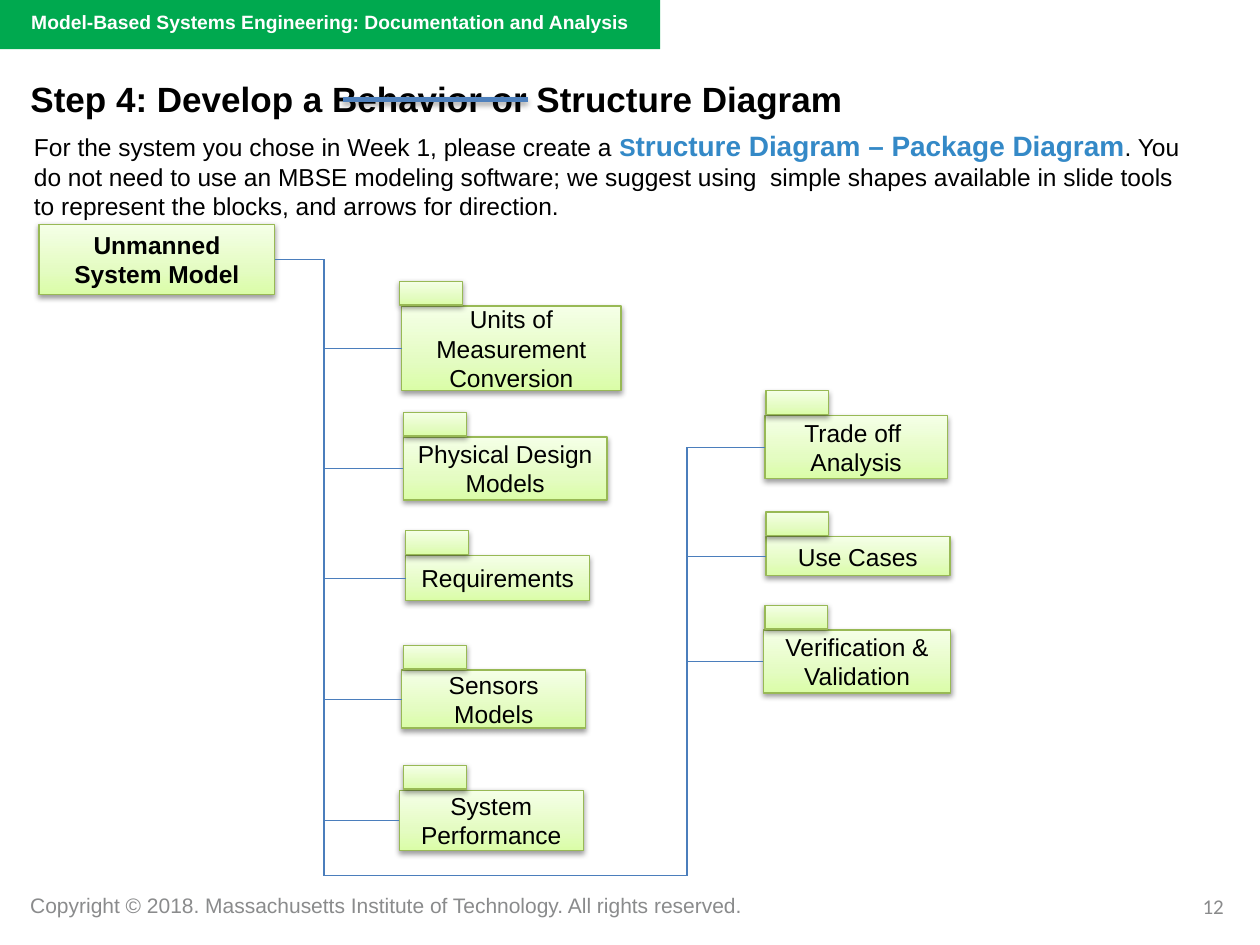
import copy

import lxml.etree
import pptx
import pptx.dml.color
import pptx.enum.shapes
import pptx.enum.text
import pptx.oxml.ns
import pptx.util

Cm, Pt = pptx.util.Cm, pptx.util.Pt
qn = pptx.oxml.ns.qn
ALIGN = pptx.enum.text.PP_ALIGN
ANCHOR = pptx.enum.text.MSO_ANCHOR

COLOURS = {
    "black": "000000", "white": "FFFFFF", "grey": "8A8B8C", "banner": "00A94F",
    "accent": "3489C7", "border": "98B955", "link": "4B7EBC", "strike": "4F81BD",
}
GREEN_STOPS = [(0, "DAFDA7"), (0.35, "E4FCC2"), (1, "F5FFE7")]

# Content: all lengths in centimetres
HEADER = "Model-Based Systems Engineering: Documentation and Analysis"
TITLE = "Step 4: Develop a Behavior or Structure Diagram"
INTRO = [  # text, size, colour, bold
    ("For the system you chose in Week 1, please create a ", 14, "black", False),
    ("S", 14, "accent", True),
    ("tructure Diagram – Package Diagram", 16, "accent", True),
    (". You do not need to use an MBSE modeling software; we suggest using  simple shapes "
     "available in slide tools to represent the blocks, and arrows for direction.",
     14, "black", False),
]
FOOTER = "Copyright © 2018. Massachusetts Institute of Technology. All rights reserved."
PAGE_NUMBER = "12"

ROOT = ("Unmanned System Model", 0.79, 4.52, 4.75, 1.42)
# Trunk x -> packages: label, left, top, width, height, tab left
PACKAGES = {
    6.53: [
        ("Units of Measurement Conversion", 8.10, 6.17, 4.42, 1.70, 8.05),
        ("Physical Design Models", 8.13, 8.81, 4.11, 1.27, 8.13),
        ("Requirements", 8.18, 11.20, 3.71, 0.91, 8.18),
        ("Sensors\nModels", 8.10, 13.51, 3.71, 1.17, 8.13),
        ("System Performance", 8.05, 15.93, 3.71, 1.22, 8.13),
    ],
    13.85: [
        ("Trade off  Analysis", 15.42, 8.38, 3.68, 1.27, 15.44),
        ("Use Cases", 15.44, 10.82, 3.71, 0.79, 15.44),
        ("Verification & Validation", 15.39, 12.70, 3.78, 1.27, 15.42),
    ],
}
TRUNK_BOTTOM = 17.65
TAB_WIDTH, TAB_HEIGHT, TAB_RISE = 1.27, 0.48, 0.5


def rgb(name):
    return pptx.dml.color.RGBColor.from_string(COLOURS.get(name, name))


def style(span, size, colour, bold=False, font="Arial"):
    span.font.name, span.font.size, span.font.bold = font, Pt(size), bold
    span.font.color.rgb = rgb(colour)


def style_all(frame, size, colour, bold=False, align=ALIGN.LEFT, font="Arial"):
    for para in frame.paragraphs:
        para.alignment = align
        for span in para.runs:
            style(span, size, colour, bold, font)


def place(shape, left, top, width, height):
    shape.left, shape.top = Cm(left), Cm(top)
    shape.width, shape.height = Cm(width), Cm(height)


def add_shadow(effects, distance, opacity):
    shadow = lxml.etree.SubElement(effects, qn("a:outerShdw"), blurRad="40000",
                                   dist=str(distance), dir="5400000", rotWithShape="0")
    colour = lxml.etree.SubElement(shadow, qn("a:srgbClr"), val=COLOURS["black"])
    lxml.etree.SubElement(colour, qn("a:alpha"), val=str(opacity * 1000))


def add_text(slide, text, area, size, colour, wrap=True, **options):
    frame = slide.shapes.add_textbox(*map(Cm, area)).text_frame
    frame.word_wrap = wrap
    frame.text = text
    style_all(frame, size, colour, **options)


def add_rectangle(slide, *area):
    box = slide.shapes.add_shape(pptx.enum.shapes.MSO_SHAPE.RECTANGLE, *map(Cm, area))
    box.shadow.inherit = False
    return box


def add_green_box(slide, area, label="", bold=False):
    box = add_rectangle(slide, *area)
    box.fill.gradient()
    box.fill.gradient_angle = 90
    stop_list = box._element.spPr.find(".//" + qn("a:gsLst"))
    stop_list.append(copy.deepcopy(stop_list[-1]))
    for stop, (position, colour) in zip(box.fill.gradient_stops, GREEN_STOPS):
        stop.position = position
        stop.color.rgb = rgb(colour)
    box.line.color.rgb = rgb("border")
    box.line.width = Pt(0.75)
    add_shadow(box._element.spPr.find(qn("a:effectLst")), 20000, 38)
    if label:
        box.text_frame.text = label
        box.text_frame.vertical_anchor = ANCHOR.MIDDLE
        style_all(box.text_frame, 14, "black", bold, ALIGN.CENTER)


def add_line(slide, start, end, colour="link", width=0.75):
    line = slide.shapes.add_connector(pptx.enum.shapes.MSO_CONNECTOR.STRAIGHT,
                                      *map(Cm, start + end))
    line.line.color.rgb = rgb(colour)
    line.line.width = Pt(width)
    return lxml.etree.SubElement(line._element.spPr, qn("a:effectLst"))


def add_heading(slide):
    title, body = slide.placeholders
    place(title, 0.36, 1.32, 23.83, 1.40)
    frame = title.text_frame
    frame.text = TITLE
    frame.vertical_anchor = ANCHOR.TOP
    frame.margin_top = frame.margin_bottom = Cm(0.25)
    style_all(frame, 20, "black", True)

    place(body, 0.43, 2.46, 23.75, 2.13)
    para = body.text_frame.paragraphs[0]
    properties = para._p.get_or_add_pPr()
    properties.set("marL", "0")
    properties.set("indent", "0")
    lxml.etree.SubElement(properties, qn("a:buNone"))
    para.space_before = Pt(0)
    for text, *look in INTRO:
        span = para.add_run()
        span.text = text
        style(span, *look)
    for frame in (title.text_frame, body.text_frame):
        frame.auto_size = pptx.enum.text.MSO_AUTO_SIZE.NONE

    # Strike over "Behavior or"
    add_shadow(add_line(slide, (6.91, 2.01), (10.64, 2.01), "strike", 3), 23000, 35)


def add_diagram(slide):
    label, *area = ROOT
    add_green_box(slide, area, label, bold=True)
    rows = [(trunk, row) for trunk, group in PACKAGES.items() for row in group]

    # Package bodies with their branches
    for trunk, (label, left, top, width, height, tab_left) in rows:
        add_green_box(slide, (left, top, width, height), label)
        middle = top + height / 2
        add_line(slide, (left, middle), (trunk, middle))

    # Trunks from the root to both columns
    left, top, width, height = area
    first, second = PACKAGES
    root_middle = top + height / 2
    top_package = PACKAGES[second][0]
    corners = [(left + width, root_middle), (first, root_middle), (first, TRUNK_BOTTOM),
               (second, TRUNK_BOTTOM), (second, top_package[2] + top_package[4] / 2)]
    for start, end in zip(corners, corners[1:]):
        add_line(slide, start, end)

    # Package tabs
    for trunk, (label, left, top, width, height, tab_left) in rows:
        add_green_box(slide, (tab_left, top - TAB_RISE, TAB_WIDTH, TAB_HEIGHT))


def main():
    deck = pptx.Presentation()
    deck.slide_width, deck.slide_height = Cm(25.4), Cm(19.05)
    slide = deck.slides.add_slide(deck.slide_layouts[1])

    # Banner and footer
    banner = add_rectangle(slide, 0, 0, 13.31, 0.99)
    banner.fill.solid()
    banner.fill.fore_color.rgb = rgb("banner")
    banner.line.fill.background()
    add_text(slide, HEADER, (0.38, 0.08, 13.31, 1.47), 11, "white", bold=True)
    add_text(slide, FOOTER, (0.36, 17.86, 15.14, 0.76), 12, "grey", wrap=False)
    add_text(slide, PAGE_NUMBER, (19, 17.88, 5.92, 1.02), 12, "grey",
             align=ALIGN.RIGHT, font="Calibri")

    add_heading(slide)
    add_diagram(slide)
    deck.save("out.pptx")


if __name__ == "__main__":
    main()
